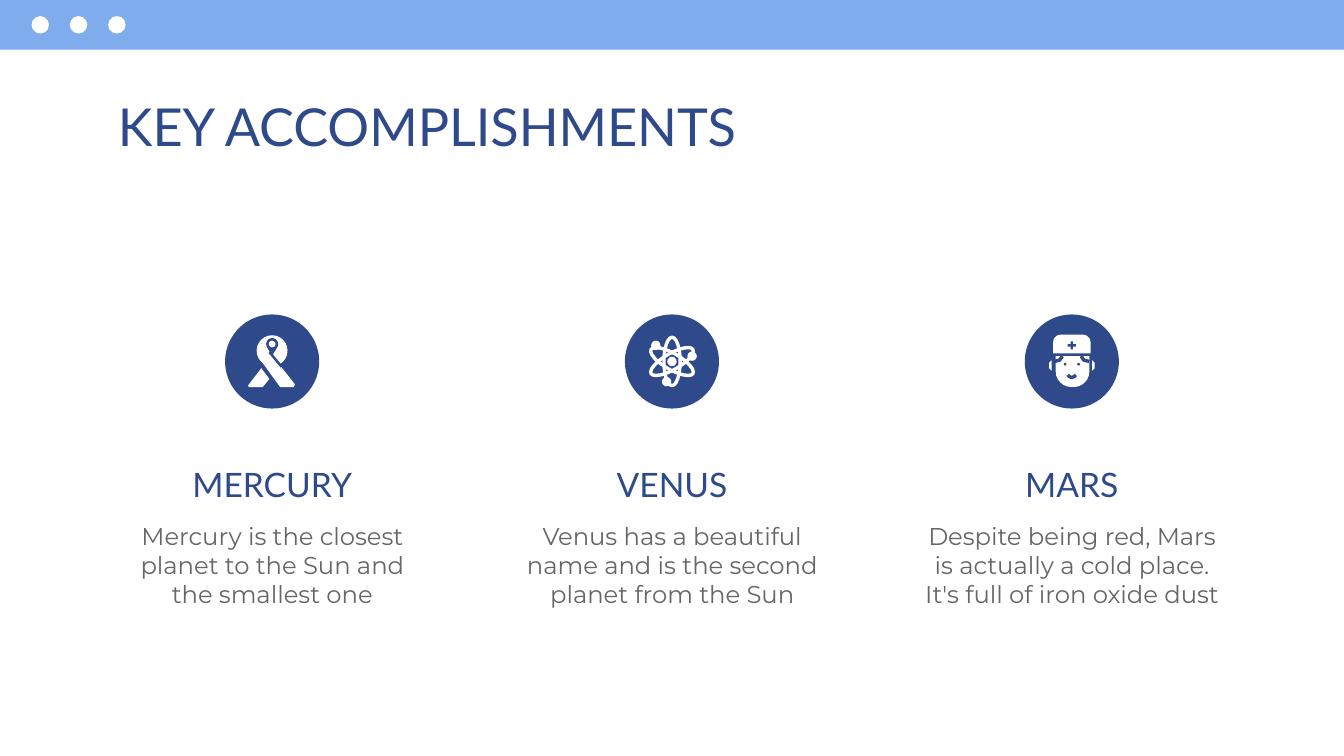
from pptx import Presentation
from pptx.dml.color import RGBColor
from pptx.enum.shapes import MSO_SHAPE
from pptx.enum.text import MSO_ANCHOR, PP_ALIGN
from pptx.util import Inches, Pt

NAVY = RGBColor(0x2F, 0x4A, 0x8A)
SKY = RGBColor(0x7E, 0xAC, 0xEC)
GREY = RGBColor(0x66, 0x66, 0x66)
WHITE = RGBColor(0xFF, 0xFF, 0xFF)


def paint(shape, fill=None, line=None, width=1.8):
    """Set the fill and outline of a shape."""
    shape.shadow.inherit = False
    if fill is None:
        shape.fill.background()
    else:
        shape.fill.solid()
        shape.fill.fore_color.rgb = fill
    if line is None:
        shape.line.fill.background()
    else:
        shape.line.color.rgb = line
        shape.line.width = Pt(width)
    return shape


def put(slide, kind, x, y, w, h, fill=None, line=None):
    """Add a preset shape."""
    box = [Inches(v) for v in (x, y, w, h)]
    return paint(slide.shapes.add_shape(kind, *box), fill, line)


def disc(slide, x, y, size, fill):
    """Add a filled circle about a centre."""
    return put(slide, MSO_SHAPE.OVAL, x - size / 2, y - size / 2, size, size, fill)


def trace(slide, x, y, points, fill=None, line=None, width=1.8):
    """Draw a filled outline or an open stroke from offsets."""
    spots = [(Inches(x + a), Inches(y + b)) for a, b in points]
    form = slide.shapes.build_freeform(*spots[0])
    form.add_line_segments(spots[1:], close=fill is not None)
    return paint(form.convert_to_shape(), fill, line, width)


def write(slide, x, y, w, h, text, font, size, color, align=PP_ALIGN.LEFT):
    """Add a text box with one run."""
    frame = slide.shapes.add_textbox(Inches(x), Inches(y), Inches(w), Inches(h)).text_frame
    frame.word_wrap = True
    frame.vertical_anchor = MSO_ANCHOR.TOP
    frame.margin_left = frame.margin_right = Inches(0.1)
    frame.margin_top = frame.margin_bottom = Inches(0.1)
    para = frame.paragraphs[0]
    para.alignment = align
    run = para.add_run()
    run.text = text
    run.font.name = font
    run.font.size = Pt(size)
    run.font.color.rgb = color


def ribbon(slide, x, y):
    """Draw the ribbon icon about its centre."""
    trace(slide, x, y, [(-0.08, 0.05), (-0.18, 0.18), (-0.17, 0.19),
                        (-0.07, 0.19), (-0.02, 0.13)], WHITE)
    disc(slide, x, y - 0.08, 0.23, WHITE)
    trace(slide, x, y, [(-0.1, -0.03), (0.06, 0.19), (0.16, 0.19), (0.17, 0.17),
                        (0.06, 0.03), (-0.04, -0.1)], WHITE)
    disc(slide, x, y - 0.13, 0.09, NAVY)
    trace(slide, x, y, [(-0.04, -0.11), (0.04, -0.11), (0.01, -0.06), (0, -0.04)], NAVY)
    trace(slide, x, y, [(-0.02, -0.07), (0.07, 0.04)], line=NAVY, width=1.3)
    disc(slide, x, y - 0.13, 0.05, WHITE)


def atom(slide, x, y):
    """Draw the atom icon about its centre."""
    for turn in (0, 60, 120):
        orbit = put(slide, MSO_SHAPE.OVAL, x - 0.06, y - 0.18, 0.12, 0.36, line=WHITE)
        orbit.rotation = turn
    disc(slide, x, y, 0.07, WHITE)
    for a, b in ((-0.12, -0.12), (0.15, -0.04), (-0.04, 0.15)):
        disc(slide, x + a, y + b, 0.07, WHITE)


def nurse(slide, x, y):
    """Draw the nurse icon about its centre."""
    kind = MSO_SHAPE.ROUND_2_SAME_RECTANGLE
    cap = put(slide, kind, x - 0.14, y - 0.2, 0.28, 0.14, WHITE)
    cap.adjustments[0] = 0.4
    face = put(slide, kind, x - 0.12, y - 0.04, 0.25, 0.23, WHITE)
    face.adjustments[0], face.adjustments[1] = 0, 0.5
    plus = put(slide, MSO_SHAPE.CROSS, x - 0.03, y - 0.15, 0.06, 0.06, NAVY)
    plus.adjustments[0] = 0.35
    for side in (-1, 1):
        ear = [(0.15, -0.01), (0.17, 0.01), (0.17, 0.05), (0.15, 0.07)]
        trace(slide, x, y, [(side * a, b) for a, b in ear], WHITE)
        hair = [(0.07, -0.04), (0.09, -0.01), (0.13, 0)]
        trace(slide, x, y, [(side * a, b) for a, b in hair], line=NAVY)
        disc(slide, x + side * 0.05, y + 0.02, 0.02, NAVY)
    smile = [(-0.03, 0.1), (-0.02, 0.11), (0, 0.12), (0.02, 0.11), (0.03, 0.1)]
    trace(slide, x, y, smile, line=NAVY)


def banner(slide, w, h):
    """Draw the top bar with its three dots."""
    put(slide, MSO_SHAPE.RECTANGLE, 0, 0, w, h, SKY)
    for i in range(3):
        disc(slide, 0.3 + i * 0.57 / 2, h / 2, 0.13, WHITE)


def column(slide, x, y, w, name, text, icon):
    """Place an icon, heading and text in one column."""
    mid = x + w / 2
    disc(slide, mid, y + 0.35, 0.7, NAVY)
    icon(slide, mid, y + 0.35)
    write(slide, x, y + 1.01, w, 0.51, name, "Lato", 18, NAVY, PP_ALIGN.CENTER)
    write(slide, x, y + 1.44, w, 0.84, text, "Montserrat", 13, GREY, PP_ALIGN.CENTER)


def main():
    """Build and save the slide."""
    deck = Presentation()
    deck.slide_width = Inches(10)
    deck.slide_height = deck.slide_width * 9 // 16
    slide = deck.slides.add_slide(deck.slide_layouts[6])
    banner(slide, 10, 0.37)
    left, span, wide = 0.78, 8.44, 2.49
    write(slide, left, 0.6, span, 0.51, "KEY ACCOMPLISHMENTS", "Lato", 28, NAVY)
    items = [
        ("MERCURY", "Mercury is the closest planet to the Sun and the smallest one", ribbon),
        ("VENUS", "Venus has a beautiful name and is the second planet from the Sun", atom),
        ("MARS", "Despite being red, Mars is actually a cold place. "
                 "It's full of iron oxide dust", nurse),
    ]
    step = (span - wide) / 2
    for i, item in enumerate(items):
        column(slide, left + i * step, 2.34, wide, *item)
    deck.save("out.pptx")


if __name__ == "__main__":
    main()
